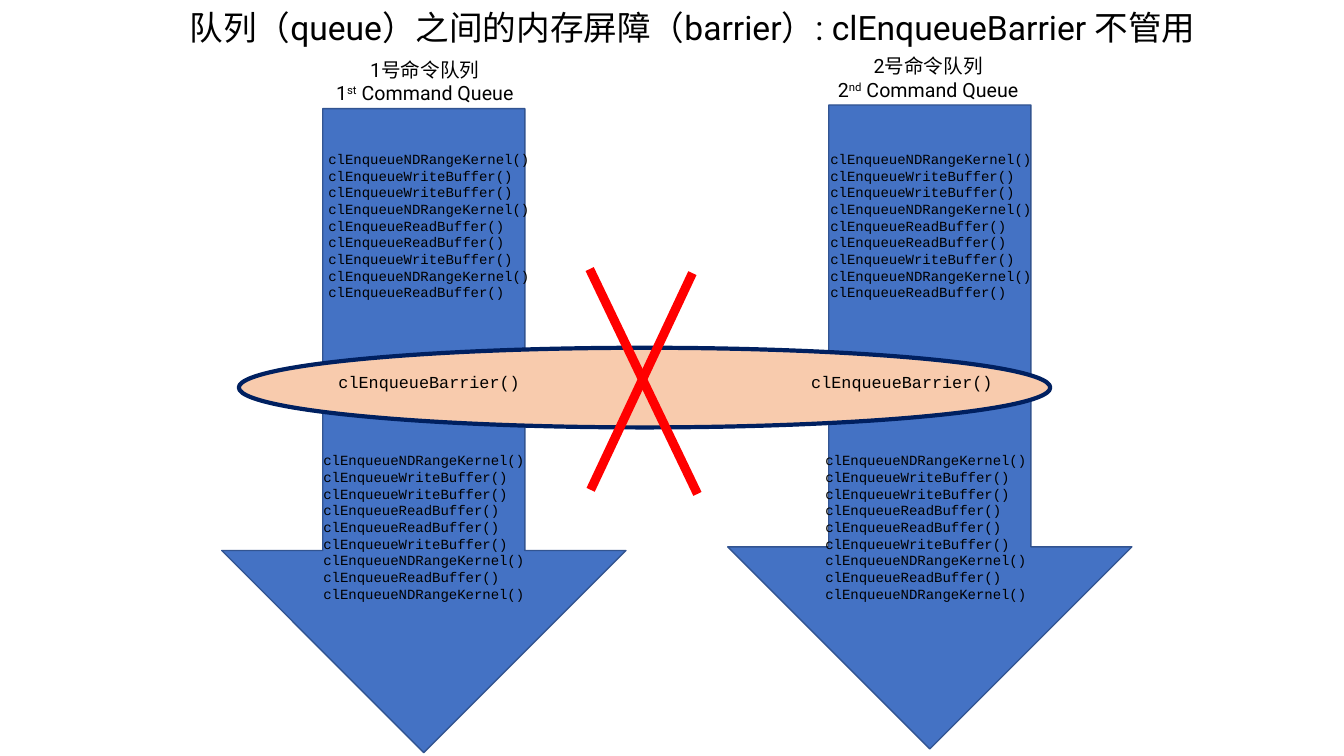
from lxml.etree import SubElement
from pptx import Presentation
from pptx.dml.color import RGBColor
from pptx.enum.shapes import MSO_CONNECTOR, MSO_SHAPE
from pptx.enum.text import MSO_ANCHOR, PP_ALIGN
from pptx.oxml.ns import qn
from pptx.util import Pt

BLACK = RGBColor(0x00, 0x00, 0x00)
BLUE = RGBColor(0x44, 0x72, 0xC4)
EDGE = RGBColor(0x32, 0x54, 0x91)
NAVY = RGBColor(0x00, 0x20, 0x60)
PEACH = RGBColor(0xF8, 0xCB, 0xAD)
RED = RGBColor(0xFF, 0x00, 0x00)

KERNEL = "clEnqueueNDRangeKernel()"
WRITE = "clEnqueueWriteBuffer()"
READ = "clEnqueueReadBuffer()"
BEFORE = [KERNEL, WRITE, WRITE, KERNEL, READ, READ, WRITE, KERNEL, READ]
AFTER = [KERNEL, WRITE, WRITE, READ, READ, WRITE, KERNEL, f"{READ} {KERNEL}"]


class Board:
    sans = "Roboto"
    mono = "Courier New"

    def __init__(self, slide):
        self.slide = slide

    def shape(self, kind, box, fill, edge, width):
        shape = self.slide.shapes.add_shape(kind, *map(Pt, box))
        shape.shadow.inherit = False
        shape.fill.solid()
        shape.fill.fore_color.rgb = fill
        shape.line.color.rgb = edge
        shape.line.width = Pt(width)

    def line(self, start, end):
        line = self.slide.shapes.add_connector(
            MSO_CONNECTOR.STRAIGHT, *map(Pt, start + end))
        line.line.color.rgb = RED
        line.line.width = Pt(6.5)
        SubElement(line._element.spPr, qn("a:effectLst"))

    def style(self, run, font, size):
        run.font.name = font
        run.font.size = Pt(size)
        run.font.color.rgb = BLACK

    def text(self, box, lines, font, size, wrap=True):
        frame = self.slide.shapes.add_textbox(*map(Pt, box)).text_frame
        frame.word_wrap = wrap
        frame.text = "\n".join(lines)
        for para in frame.paragraphs:
            if font == self.sans:
                para.alignment = PP_ALIGN.CENTER
            else:
                para.line_spacing = 0.99
            for run in para.runs:
                self.style(run, font, size)
        return frame

    def title(self, box, words):
        frame = self.text(box, [words], self.sans, 24)
        frame.vertical_anchor = MSO_ANCHOR.MIDDLE

    def code(self, box, lines, size=10):
        self.text(box, lines, self.mono, size)

    def label(self, box, digit, suffix):
        lines = [f"{digit}号命令队列", digit]
        frame = self.text(box, lines, self.sans, 14, wrap=False)
        para = frame.paragraphs[1]
        for words, base in ((suffix, "30000"), (" Command Queue", "0")):
            run = para.add_run()
            run.text = words
            self.style(run, self.sans, 14)
            run.font._element.set("baseline", base)


def main():
    deck = Presentation()
    deck.slide_width, deck.slide_height = Pt(960), Pt(540)
    board = Board(deck.slides.add_slide(deck.slide_layouts[6]))

    board.title((100.8, -25.9, 787.7, 90),
                "队列（queue）之间的内存屏障（barrier）: clEnqueueBarrier 不管用")

    queues = [("1", "st", 158.4, 77.6, 204.5, 227.5, 234.7),
              ("2", "nd", 519.8, 75, 564, 586.1, 572.4)]
    for digit, suffix, left, top, head, code, call in queues:
        board.shape(MSO_SHAPE.DOWN_ARROW, (left, top, 288.7, 460), BLUE, EDGE, 1)
        board.label((head, top - 40, 198, 28.8), digit, suffix)
        board.code((code, 104.4, 160, 113.8), BEFORE)
        board.code((code - 3.6, 319.7, 160, 113.8), AFTER)

    board.shape(MSO_SHAPE.OVAL, (170.6, 248.4, 579.6, 56.9), PEACH, NAVY, 3)
    for *rest, call in queues:
        board.code((call, 262.8, 160, 21.6), ["clEnqueueBarrier()"], 12)

    board.line((421.9, 349.9), (494.6, 195.1))
    board.line((498.2, 352.8), (421.2, 192.2))
    deck.save("out.pptx")


if __name__ == "__main__":
    main()
